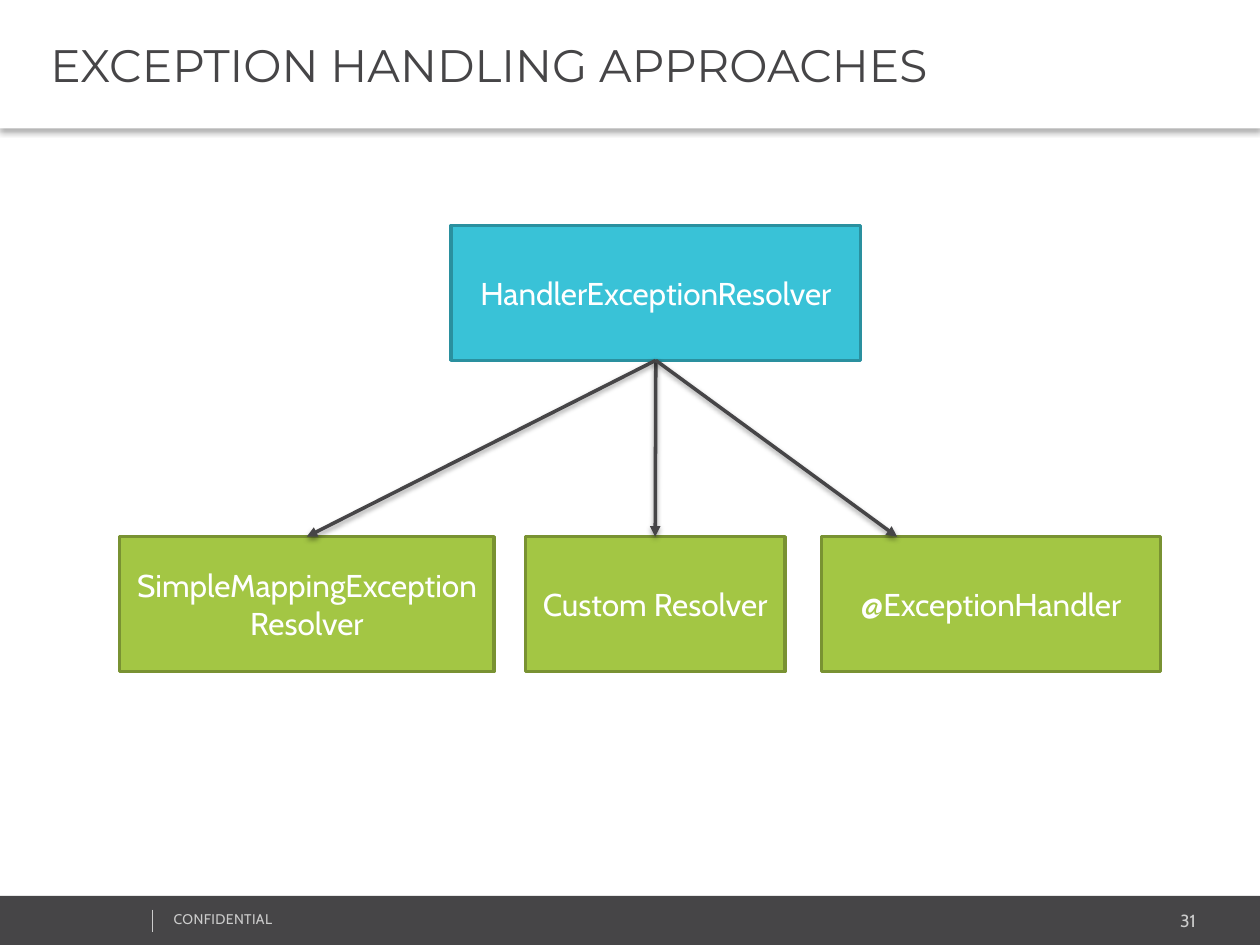
from typing import NamedTuple

from lxml.etree import SubElement as Sub
from pptx import Presentation
from pptx.dml.color import RGBColor as Color
from pptx.enum.shapes import MSO_CONNECTOR as Link, MSO_SHAPE as Form
from pptx.enum.text import MSO_ANCHOR as Anchor, PP_ALIGN as Align
from pptx.oxml.ns import qn
from pptx.util import Emu, Inches, Pt

WHITE = Color(0xFF, 0xFF, 0xFF)
DARK = Color(0x46, 0x45, 0x47)
PALE = Color(0xCC, 0xCC, 0xCC)
BLUE = Color(0x39, 0xC2, 0xD7)
TEAL = Color(0x2A, 0x90, 0x9F)
GREEN = Color(0xA3, 0xC6, 0x44)
OLIVE = Color(0x79, 0x92, 0x32)
BODY, HEAD = "Cabin", "Montserrat"

COLS, ROWS = 100, 75
CELL = Inches(0.1)
TOP, LOW, TALL = 17.9, 42.6, 10.7  # rows of the two tiers, and box height


class Area(NamedTuple):
    """Left, top, width and height in grid cells."""
    x: float
    y: float
    w: float
    h: float


class Node(NamedTuple):
    text: str
    area: Area
    fill: Color
    edge: Color


ROOT = Node("HandlerExceptionResolver", Area(35.8, TOP, 32.5, TALL), BLUE, TEAL)
LEAVES = [
    Node(text, Area(x, LOW, w, TALL), GREEN, OLIVE)
    for text, x, w in (
        ("Custom Resolver", 41.7, 20.6),
        ("SimpleMappingExceptionResolver", 9.5, 29.7),
        ("@ExceptionHandler", 65.2, 26.9),
    )
]
ASIDE = {"@ExceptionHandler": 71.2}  # arrow tip left of the middle


def cells(n: float) -> Emu:
    return Emu(round(n * CELL))


def cast(shape, alpha: int, dist: float) -> None:
    """Give a shape a soft black shadow straight below it."""
    fx = Sub(shape._element.spPr, qn("a:effectLst"))
    drop = Sub(fx, qn("a:outerShdw"), blurRad=str(Pt(3.1)), dist=str(Pt(dist)),
               dir="5400000", algn="t", rotWithShape="0")
    tint = Sub(drop, qn("a:srgbClr"), val="000000")
    Sub(tint, qn("a:alpha"), val=str(alpha * 1000))


def block(area: Area, fill: Color, edge: Color | None = None):
    shape = slide.shapes.add_shape(Form.RECTANGLE, *map(cells, area))
    shape.fill.solid()
    shape.fill.fore_color.rgb = fill
    if edge is None:
        shape.line.fill.background()
    else:
        shape.line.color.rgb = edge
        shape.line.width = Pt(2)
    return shape


def write(shape, text: str, size: float, face: str, color: Color, align: Align):
    frame = shape.text_frame
    frame.word_wrap = True
    para = frame.paragraphs[0]
    para.text = text
    para.alignment = align
    font = para.font
    font.size, font.name = Pt(size), face
    font.color.rgb = color
    return frame


def label(area: Area, text: str, size: float, align: Align):
    box = slide.shapes.add_textbox(*map(cells, area))
    return write(box, text, size, BODY, PALE, align)


def draw(node: Node):
    shape = block(node.area, node.fill, node.edge)
    shape.shadow.inherit = False
    frame = write(shape, node.text, 18, BODY, WHITE, Align.CENTER)
    frame.vertical_anchor = Anchor.MIDDLE
    return shape


def rule(x1: float, y1: float, x2: float, y2: float, color: Color, width: float):
    line = slide.shapes.add_connector(Link.STRAIGHT, *map(cells, (x1, y1, x2, y2)))
    line.line.color.rgb = color
    line.line.width = Pt(width)
    return line


def arrow(start, end, node: Node) -> None:
    mid = node.area.x + node.area.w / 2
    tip = ASIDE.get(node.text, mid)
    line = rule(ROOT.area.x + ROOT.area.w / 2, TOP + TALL, tip, LOW, DARK, 2)
    line.begin_connect(start, 2)
    if tip == mid:
        line.end_connect(end, 0)
    Sub(line.line._get_or_add_ln(), qn("a:tailEnd"), type="triangle")
    cast(line, 38, 1.6)


deck = Presentation()
deck.slide_width, deck.slide_height = cells(COLS), cells(ROWS)
slide = deck.slides.add_slide(deck.slide_layouts[6])

foot = block(Area(0, 71.1, COLS, ROWS - 71.1), DARK)
foot.shadow.inherit = False
label(Area(79.6, 71.7, 16.3, 2.7), "31", 10, Align.RIGHT)
note = label(Area(12.8, 71.8, 25.3, 2.4), "CONFIDENTIAL", 8, Align.LEFT)
note.paragraphs[0].runs[0].font._element.set("spc", "20")
mark = rule(12.1, 72.2, 12.1, 74, PALE, 0.25)
Sub(mark._element.spPr, qn("a:effectLst"))

banner = block(Area(0, 0, COLS, 10.2), WHITE)
cast(banner, 30, 2)
title = write(banner, "EXCEPTION HANDLING APPROACHES", 26, HEAD, DARK, Align.LEFT)
title.vertical_anchor = Anchor.MIDDLE
title.margin_left = cells(4)

root = draw(ROOT)
ends = [draw(leaf) for leaf in LEAVES]
for end, leaf in zip(ends, LEAVES):
    arrow(root, end, leaf)

deck.save("out.pptx")
